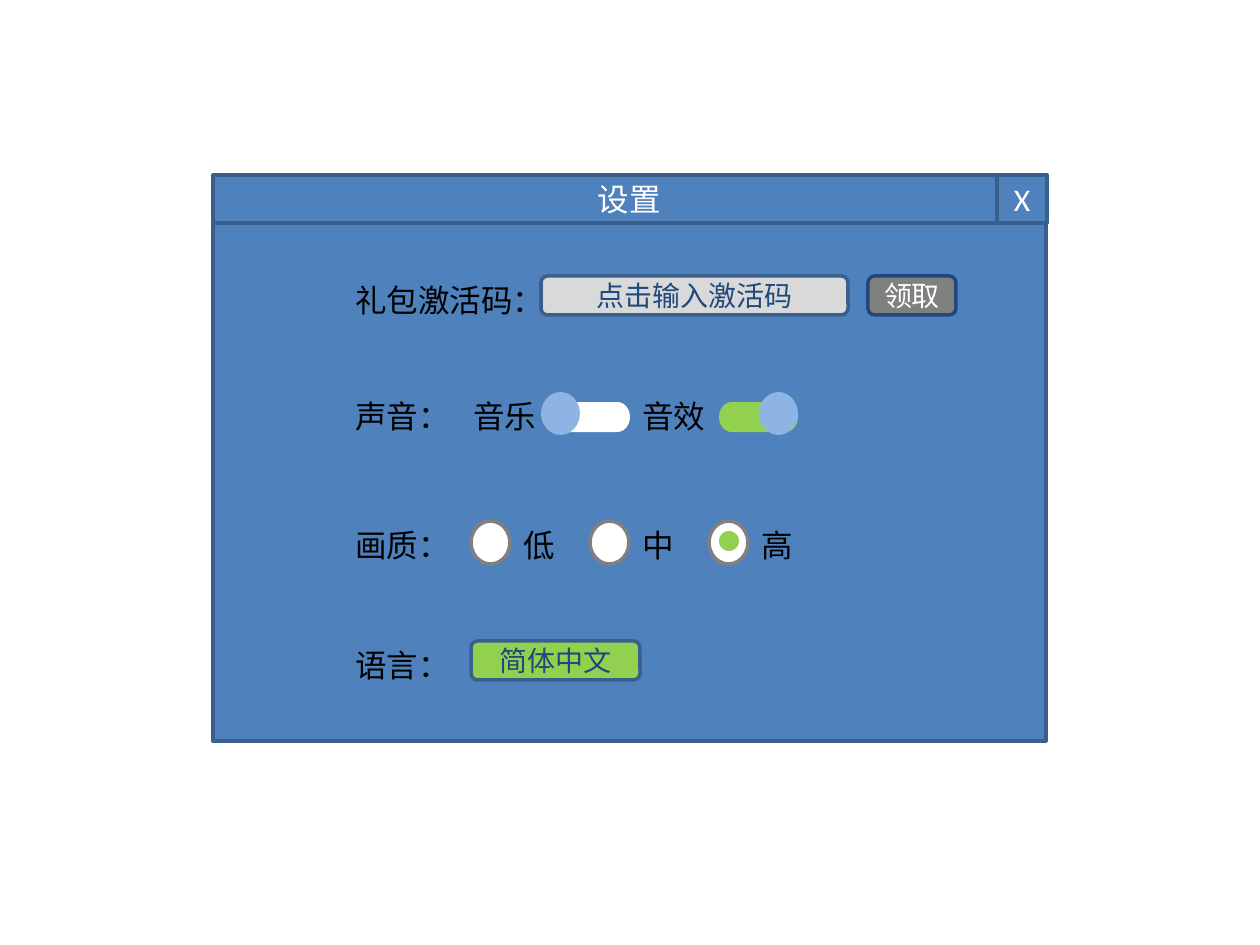
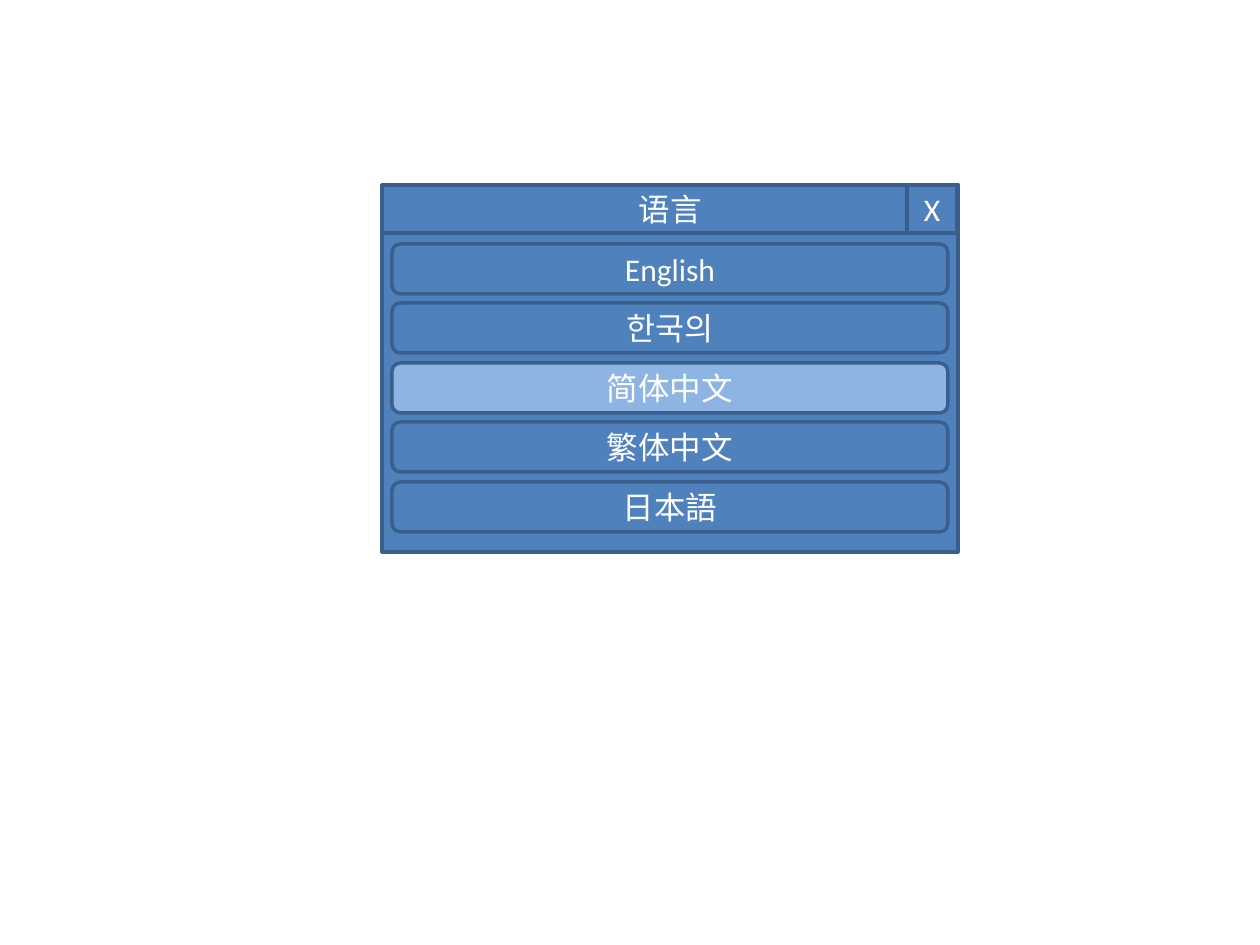
import dataclasses

import pptx
import pptx.dml.color
import pptx.enum.shapes
import pptx.enum.text
import pptx.util

SHAPES = pptx.enum.shapes.MSO_SHAPE
ALIGN = pptx.enum.text.PP_ALIGN
ANCHOR = pptx.enum.text.MSO_ANCHOR
PX = 914400 / 126


@dataclasses.dataclass(frozen=True)
class Theme:
    font: str = "Calibri"
    panel: str = "4F81BD"
    border: str = "3A5F8C"
    highlight: str = "8EB4E3"
    active: str = "92D050"
    field: str = "D9D9D9"
    gray: str = "808080"
    navy: str = "1F497D"
    white: str = "FFFFFF"
    black: str = "000000"
    body_size: int = 18
    button_size: int = 16
    line_width: int = 2


THEME = Theme()
BAR_HEIGHT = 48
CONTROL_HEIGHT = 39
KNOB_SIZE = (39, 43)


def emu(*lengths):
    return [pptx.util.Emu(round(length * PX)) for length in lengths]


def rgb(color):
    return pptx.dml.color.RGBColor.from_string(color)


# Basic elements
def add_text(shape, text, size, color, alignment):
    paragraph = shape.text_frame.paragraphs[0]
    paragraph.alignment = alignment
    run = paragraph.add_run()
    run.text = text
    run.font.name = THEME.font
    run.font.size = pptx.util.Pt(size)
    run.font.color.rgb = rgb(color)


def add_box(slide, kind, box, fill, border=None, text=None,
            size=THEME.body_size, color=THEME.white):
    shape = slide.shapes.add_shape(kind, *emu(*box))
    shape.shadow.inherit = False
    shape.fill.solid()
    shape.fill.fore_color.rgb = rgb(fill)
    if border:
        shape.line.color.rgb = rgb(border)
        shape.line.width = pptx.util.Pt(THEME.line_width)
    else:
        shape.line.fill.background()
    if text:
        shape.text_frame.word_wrap = True
        shape.text_frame.vertical_anchor = ANCHOR.MIDDLE
        add_text(shape, text, size, color, ALIGN.CENTER)


def add_label(slide, text, left, top, width=110):
    label = slide.shapes.add_textbox(*emu(left, top, width, 50))
    label.text_frame.word_wrap = True
    label.text_frame.auto_size = pptx.enum.text.MSO_AUTO_SIZE.SHAPE_TO_FIT_TEXT
    add_text(label, text, THEME.body_size, THEME.black, ALIGN.LEFT)


# Dialog parts
def add_dialog(slide, title, left, top, width, height, close_left, close_width):
    for box_height, text in ((height, None), (BAR_HEIGHT, title)):
        add_box(slide, SHAPES.RECTANGLE, (left, top, width, box_height),
                THEME.panel, THEME.border, text)
    add_box(slide, SHAPES.RECTANGLE, (close_left, top, close_width, BAR_HEIGHT),
            THEME.panel, THEME.border, "X")


def add_button(slide, text, left, top, width, fill, border=THEME.border,
               color=THEME.navy):
    add_box(slide, SHAPES.ROUNDED_RECTANGLE, (left, top, width, CONTROL_HEIGHT),
            fill, border, text, THEME.button_size, color)


def add_switch(slide, left, top, is_on):
    add_box(slide, SHAPES.FLOWCHART_TERMINATOR, (left, top + 10, 79, 30),
            THEME.active if is_on else THEME.white)
    knob_left = left + 40 if is_on else left - 10
    add_box(slide, SHAPES.FLOWCHART_CONNECTOR, (knob_left, top, *KNOB_SIZE),
            THEME.highlight)


def add_radio(slide, text, left, top, selected):
    add_box(slide, SHAPES.FLOWCHART_CONNECTOR, (left, top, *KNOB_SIZE),
            THEME.white, THEME.gray)
    if selected:
        add_box(slide, SHAPES.FLOWCHART_CONNECTOR, (left + 10, top + 10, 20, 20),
                THEME.active)
    add_label(slide, text, left + 40, top - 1, 80)


# Slides
def build_settings(slide):
    add_dialog(slide, "设置", 213, 175, 833, 566, 997, 50)

    # Row captions
    label_left = 343
    for text, top, width in (("礼包激活码：", 275, 208), ("声音：", 391, 110),
                             ("画质：", 520, 110), ("语言：", 640, 110)):
        add_label(slide, text, label_left, top, width)

    # Gift code
    add_button(slide, "点击输入激活码", 541, 276, 307, THEME.field)
    add_button(slide, "领取", 868, 276, 88, THEME.gray, THEME.navy, THEME.white)

    # Sound
    for text, left, switch_left, is_on in (("音乐", 461, 551, False),
                                           ("音效", 630, 719, True)):
        add_label(slide, text, left, 391)
        add_switch(slide, switch_left, 392, is_on)

    # Picture quality
    for index, text in enumerate("低中高"):
        add_radio(slide, text, 471 + 119 * index, 521, text == "高")

    # Language
    add_button(slide, "简体中文", 471, 641, 169, THEME.active)


def build_languages(slide):
    add_dialog(slide, "语言", 382, 185, 576, 367, 907, 50)
    selected = "简体中文"
    languages = ("English", "한국의", selected, "繁体中文", "日本語")
    for index, language in enumerate(languages):
        fill = THEME.highlight if language == selected else THEME.panel
        add_box(slide, SHAPES.ROUNDED_RECTANGLE,
                (392, 244 + index * 119 // 2, 556, 50),
                fill, THEME.border, language)


def main():
    presentation = pptx.Presentation()
    presentation.slide_width, presentation.slide_height = emu(1260, 945)
    blank = presentation.slide_layouts[6]
    for build in (build_settings, build_languages):
        build(presentation.slides.add_slide(blank))
    presentation.save("out.pptx")


if __name__ == "__main__":
    main()
